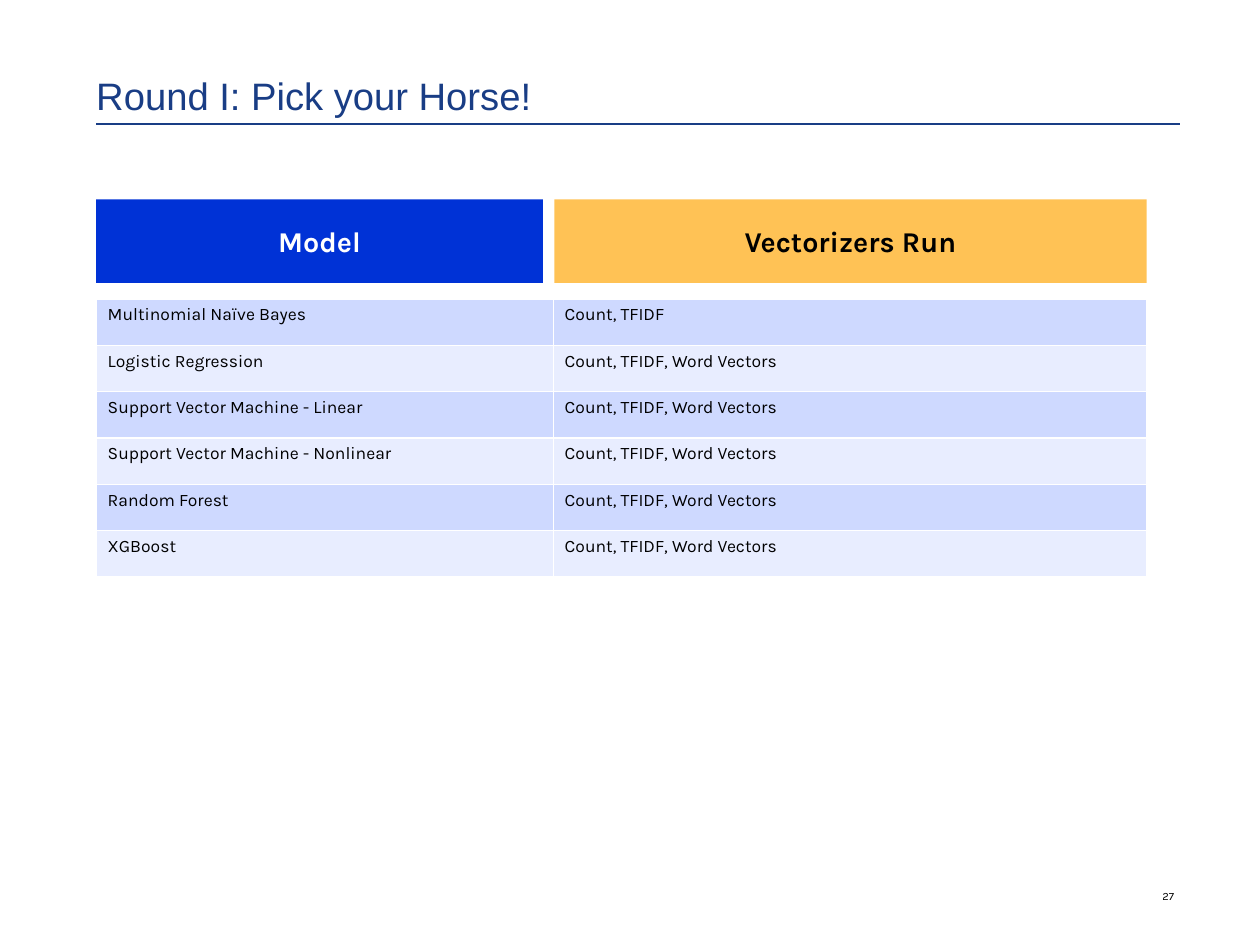
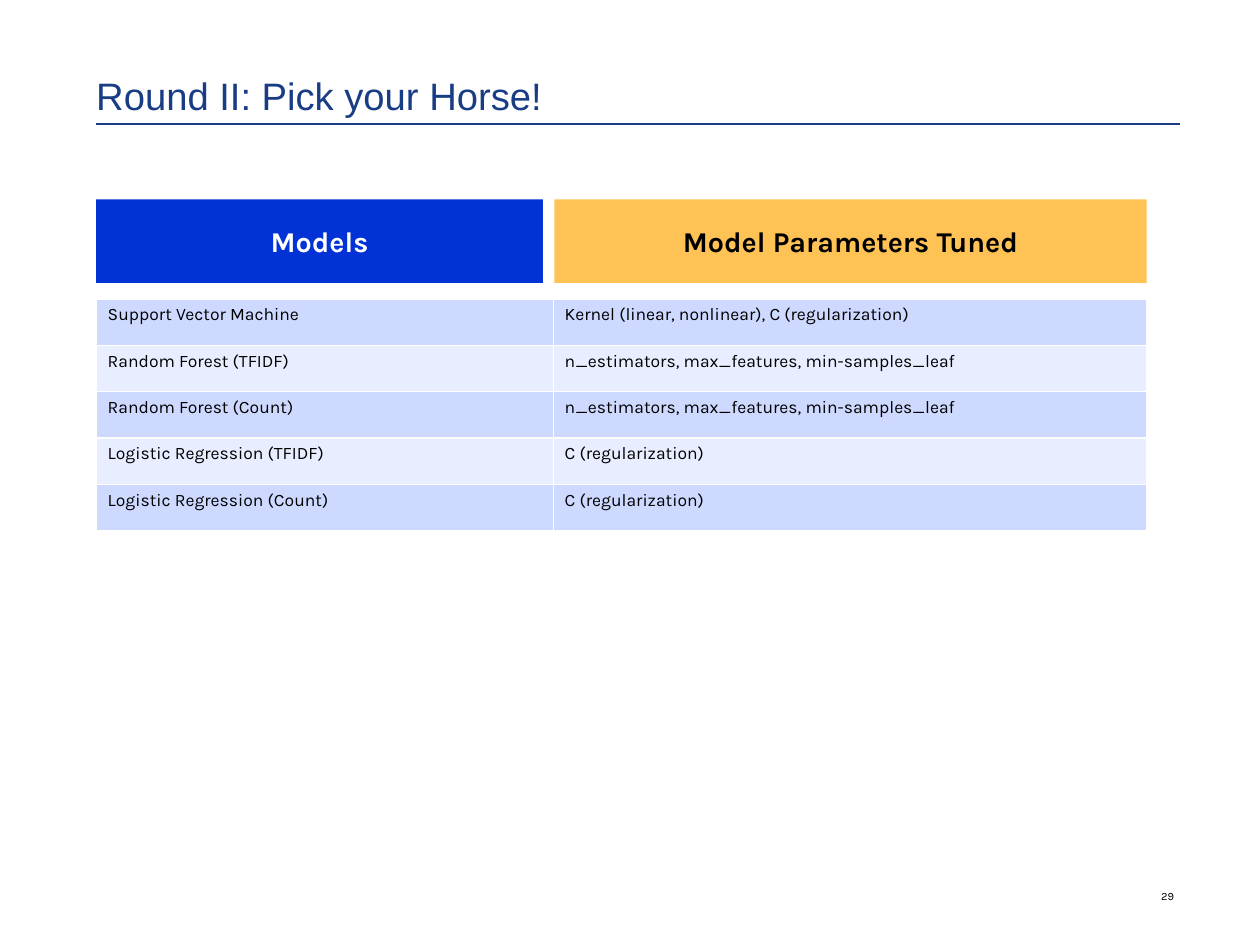
"""Builds two slides that list models beside the settings tried for each."""
from dataclasses import dataclass

import pptx
import pptx.dml.color
import pptx.enum.shapes
import pptx.enum.text
import pptx.oxml.ns
import pptx.presentation
import pptx.slide
import pptx.text.text
import pptx.util
from lxml import etree

RGBColor = pptx.dml.color.RGBColor
Align = pptx.enum.text.PP_ALIGN
Anchor = pptx.enum.text.MSO_ANCHOR

NAVY = RGBColor(0x19, 0x3D, 0x85)
BLUE = RGBColor(0x00, 0x32, 0xD6)
AMBER = RGBColor(0xFF, 0xC2, 0x55)
WHITE = RGBColor(0xFF, 0xFF, 0xFF)
BLACK = RGBColor(0x00, 0x00, 0x00)
ROW_TINTS = (RGBColor(0xCE, 0xD9, 0xFF), RGBColor(0xE8, 0xED, 0xFF))

TITLE_FONT = "Arial"
BODY_FONT = "Karla"

PX_PER_INCH = 200
LEFT = 168
CONTENT_WIDTH = 1892
RULE_Y = 216
TABLE_TOP = 522
ROW_HEIGHT = 81
COLUMN_WIDTHS = (798, 1036)


@dataclass(frozen=True)
class Band:
    left: int
    width: int
    fill: RGBColor
    ink: RGBColor


@dataclass(frozen=True)
class Round:
    title: str
    number: str
    headings: tuple[str, str]
    rows: tuple[tuple[str, str], ...]


BANDS = (Band(LEFT, 780, BLUE, WHITE), Band(968, 1034, AMBER, BLACK))

ALL_VECTORIZERS = "Count, TFIDF, Word Vectors"
FOREST_PARAMETERS = "n_estimators, max_features, min-samples_leaf"
REGULARIZATION = "C (regularization)"

ROUNDS = (
    Round(
        "Round I: Pick your Horse!",
        "27",
        ("Model", "Vectorizers Run"),
        (
            ("Multinomial Naïve Bayes", "Count, TFIDF"),
            ("Logistic Regression", ALL_VECTORIZERS),
            ("Support Vector Machine - Linear", ALL_VECTORIZERS),
            ("Support Vector Machine - Nonlinear", ALL_VECTORIZERS),
            ("Random Forest", ALL_VECTORIZERS),
            ("XGBoost", ALL_VECTORIZERS),
        ),
    ),
    Round(
        "Round II: Pick your Horse!",
        "29",
        ("Models", "Model Parameters Tuned"),
        (
            ("Support Vector Machine", "Kernel (linear, nonlinear), C (regularization)"),
            ("Random Forest (TFIDF)", FOREST_PARAMETERS),
            ("Random Forest (Count)", FOREST_PARAMETERS),
            ("Logistic Regression (TFIDF)", REGULARIZATION),
            ("Logistic Regression (Count)", REGULARIZATION),
        ),
    ),
)


def px(length: int) -> pptx.util.Emu:
    return pptx.util.Emu(length * 914400 // PX_PER_INCH)


def box(left: int, top: int, width: int, height: int) -> tuple[pptx.util.Emu, ...]:
    return px(left), px(top), px(width), px(height)


def write(frame: pptx.text.text.TextFrame, text: str, size: int, ink: RGBColor,
          font: str = BODY_FONT, bold: bool = False, align: Align = Align.LEFT) -> None:
    frame.text = text
    paragraph = frame.paragraphs[0]
    paragraph.alignment = align
    paragraph.font.name = font
    paragraph.font.size = pptx.util.Pt(size)
    paragraph.font.bold = bold
    paragraph.font.color.rgb = ink


def fit_frame(frame: pptx.text.text.TextFrame, anchor: Anchor, wrap: bool = True) -> None:
    frame.margin_left = frame.margin_right = frame.margin_top = frame.margin_bottom = 0
    frame.vertical_anchor = anchor
    frame.word_wrap = wrap
    frame.auto_size = pptx.enum.text.MSO_AUTO_SIZE.NONE


def add_title(slide: pptx.slide.Slide, text: str) -> None:
    rule = slide.shapes.add_connector(
        pptx.enum.shapes.MSO_CONNECTOR.STRAIGHT,
        px(LEFT), px(RULE_Y), px(LEFT + CONTENT_WIDTH), px(RULE_Y))
    rule.line.color.rgb = NAVY
    rule.line.width = pptx.util.Pt(1.5)
    etree.SubElement(rule.element.spPr, pptx.oxml.ns.qn("a:effectLst"))

    title = slide.shapes.title
    title.left, title.top, title.width, title.height = box(LEFT, 0, CONTENT_WIDTH, 206)
    title.fill.solid()
    title.fill.fore_color.rgb = WHITE
    fit_frame(title.text_frame, Anchor.BOTTOM)
    write(title.text_frame, text, 24, NAVY, TITLE_FONT)


def add_page_number(slide: pptx.slide.Slide, number: str) -> None:
    frame = slide.shapes.add_textbox(*box(1960, 1494, 90, 82)).text_frame
    fit_frame(frame, Anchor.BOTTOM, wrap=False)
    write(frame, number, 7, BLACK, align=Align.RIGHT)


def add_heading(slide: pptx.slide.Slide, band: Band, text: str) -> None:
    heading = slide.shapes.add_shape(
        pptx.enum.shapes.MSO_SHAPE.RECTANGLE, *box(band.left, 348, band.width, 146))
    heading.shadow.inherit = False
    heading.fill.solid()
    heading.fill.fore_color.rgb = band.fill
    heading.line.fill.background()
    fit_frame(heading.text_frame, Anchor.MIDDLE)
    write(heading.text_frame, text, 18, band.ink, bold=True, align=Align.CENTER)


def set_borders(cell: "pptx.table._Cell", color: RGBColor) -> None:
    properties = cell._tc.get_or_add_tcPr()
    for position, side in enumerate(("lnL", "lnR", "lnT", "lnB")):
        line = etree.Element(pptx.oxml.ns.qn(f"a:{side}"), w=str(pptx.util.Pt(1)))
        fill = etree.SubElement(line, pptx.oxml.ns.qn("a:solidFill"))
        etree.SubElement(fill, pptx.oxml.ns.qn("a:srgbClr"), val=str(color))
        properties.insert(position, line)


def add_model_table(slide: pptx.slide.Slide, rows: tuple[tuple[str, str], ...]) -> None:
    models = slide.shapes.add_table(
        len(rows), len(COLUMN_WIDTHS),
        *box(LEFT, TABLE_TOP, sum(COLUMN_WIDTHS), ROW_HEIGHT * len(rows))).table
    models.first_row = False
    models.horz_banding = False
    for column, width in zip(models.columns, COLUMN_WIDTHS):
        column.width = px(width)
    for index, entries in enumerate(rows):
        models.rows[index].height = px(ROW_HEIGHT)
        for cell, entry in zip(models.rows[index].cells, entries):
            cell.fill.solid()
            cell.fill.fore_color.rgb = ROW_TINTS[index % 2]
            set_borders(cell, WHITE)
            write(cell.text_frame, entry, 11, BLACK)


def add_round(deck: pptx.presentation.Presentation, contest: Round) -> None:
    slide = deck.slides.add_slide(deck.slide_layouts.get_by_name("Title Only"))
    add_title(slide, contest.title)
    add_page_number(slide, contest.number)
    for band, heading in zip(BANDS, contest.headings):
        add_heading(slide, band, heading)
    add_model_table(slide, contest.rows)


def main() -> None:
    deck = pptx.Presentation()
    deck.slide_width, deck.slide_height = px(2200), px(1650)
    for contest in ROUNDS:
        add_round(deck, contest)
    deck.save("out.pptx")


if __name__ == "__main__":
    main()
